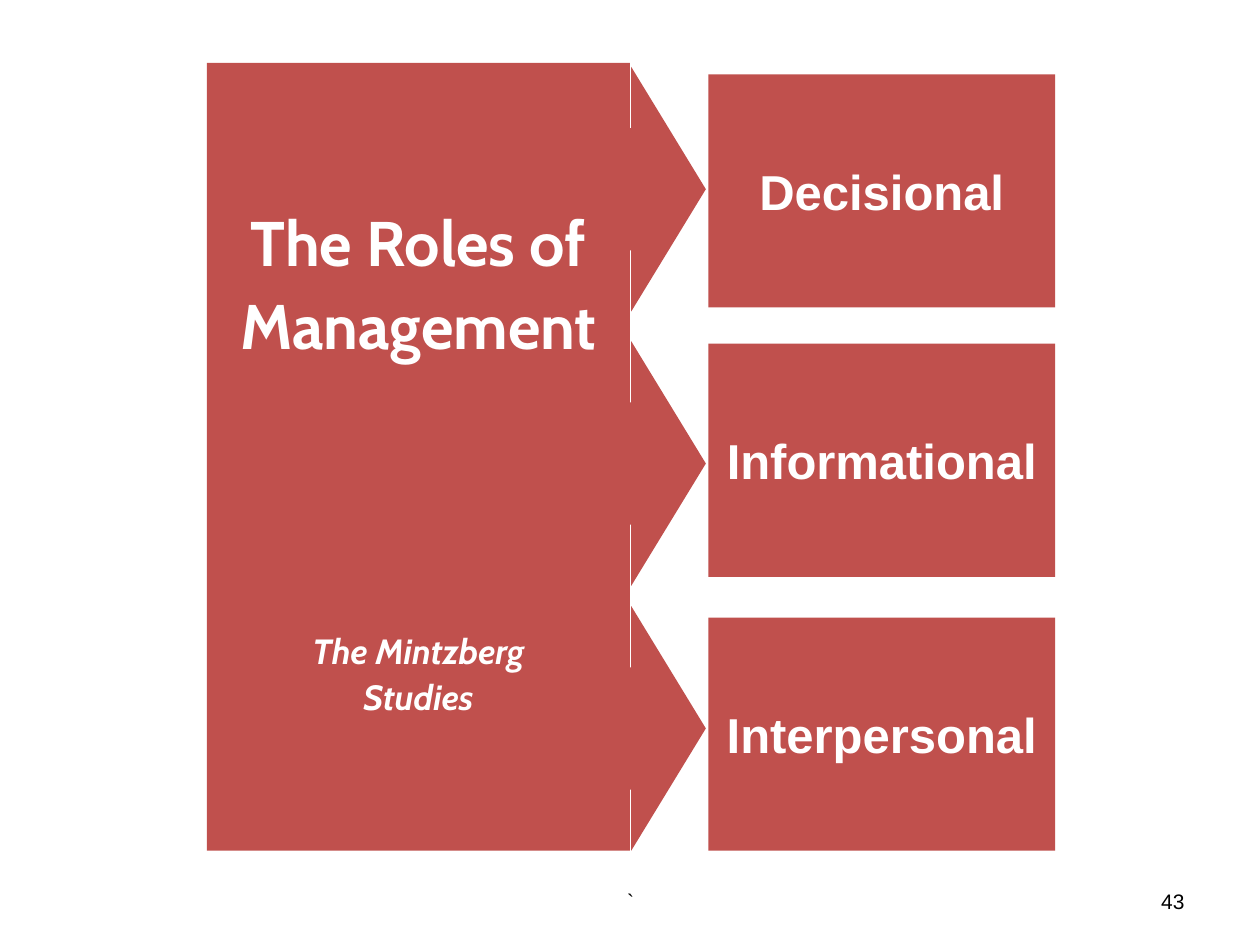
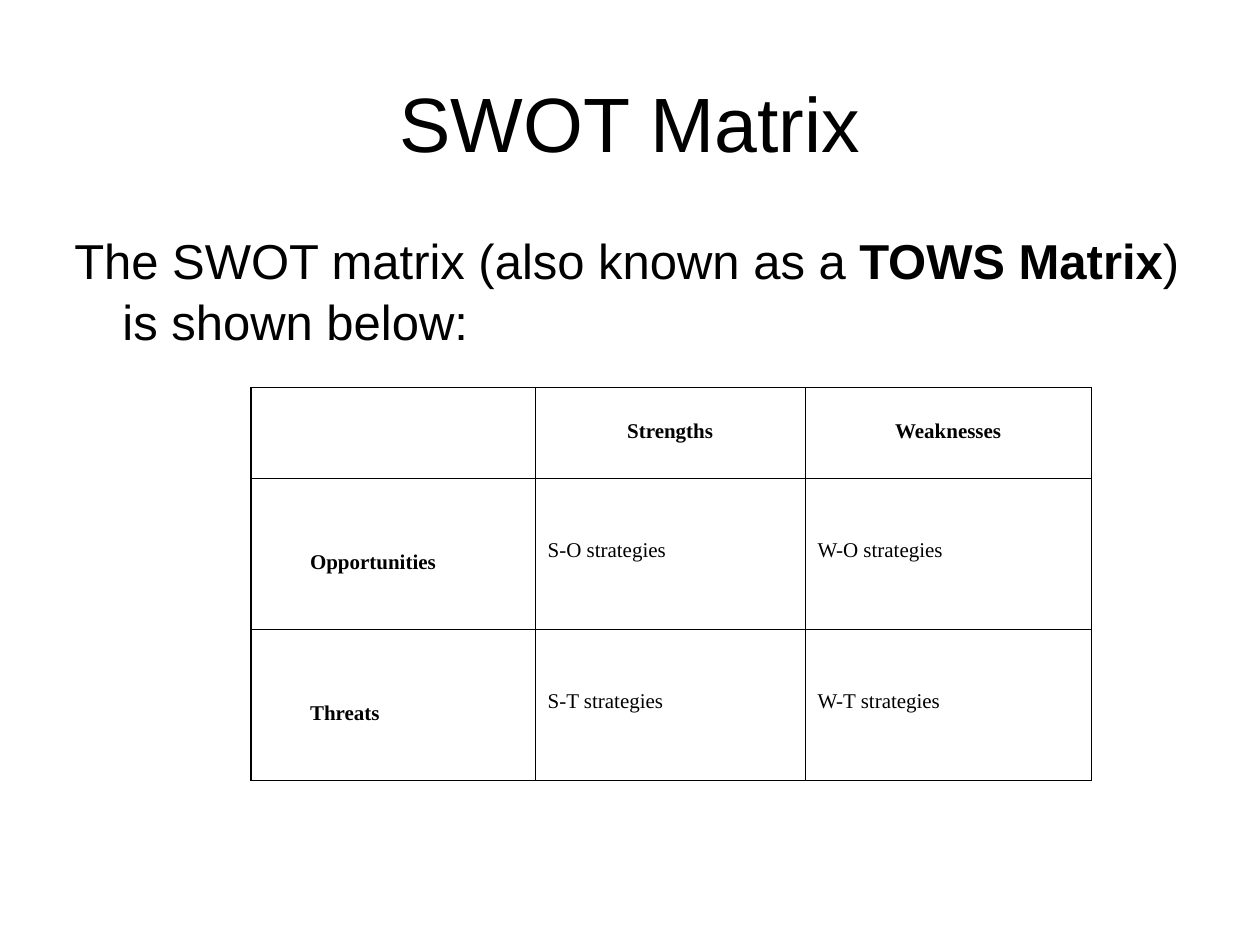
"""Build two management slides: the roles of management and the SWOT matrix."""
from dataclasses import dataclass

from lxml import etree
from pptx import Presentation
from pptx.dml.color import RGBColor
from pptx.enum.shapes import MSO_SHAPE
from pptx.enum.text import MSO_ANCHOR, MSO_AUTO_SIZE, PP_ALIGN
from pptx.oxml.ns import qn
from pptx.util import Cm, Pt

LEFT, CENTER, RIGHT = PP_ALIGN.LEFT, PP_ALIGN.CENTER, PP_ALIGN.RIGHT
TOP, MIDDLE = MSO_ANCHOR.TOP, MSO_ANCHOR.MIDDLE
RECTANGLE, ARROW = MSO_SHAPE.RECTANGLE, MSO_SHAPE.RIGHT_ARROW
TITLE_ONLY, BLANK = 5, 6


@dataclass(frozen=True)
class Theme:
    """Colours, fonts and type sizes shared by the slides."""
    red: RGBColor = RGBColor(0xC0, 0x50, 0x4D)
    white: RGBColor = RGBColor(255, 255, 255)
    black: RGBColor = RGBColor(0, 0, 0)
    sans: str = "Arial"
    display: str = "Cabin"
    serif: str = "Times New Roman"
    title: int = 44
    panel: int = 36
    body: int = 28
    subtitle: int = 20
    small: int = 12


THEME = Theme()

PANEL_TITLE = ("The Roles of", "Management")
PANEL_SUBTITLE = ("The Mintzberg", "Studies")
PANEL_GAP = 150
ROLES = [("Decisional", 1.35, 1.5), ("Informational", 6.88, 6.93), ("Interpersonal", 12.22, 12.45)]
FOOTERS = [("`", 8.69, 8.05, CENTER), ("43", 18.21, 5.92, RIGHT)]

MATRIX_TITLE = "SWOT Matrix"
INTRO = [("The SWOT matrix (also known as a ", False), ("TOWS Matrix", True),
         (") is shown below:", False)]
MATRIX = [("", "Strengths", "Weaknesses"),
          ("Opportunities", "S-O strategies", "W-O strategies"),
          ("Threats", "S-T strategies", "W-T strategies")]
COLUMN_WIDTHS = (5.73, 5.44, 5.77)
ROW_HEIGHTS = (1.83, 3.04, 3.04)
HEADING = {"left": 0, "top": 0.65, "bold": True, "align": CENTER}
ROW_LABEL = {"left": 1.19, "top": 1.46, "bold": True, "align": LEFT}
STRATEGY = {"left": 0.25, "top": 1.22, "bold": False, "align": LEFT}


def write(frame, text, *, size, font=THEME.sans, color=THEME.black, bold=False, italic=False,
          align=LEFT, spacing=None, before=0, join=False):
    """Write one formatted span in a new paragraph, or join it to the last one."""
    para = frame.paragraphs[-1] if join or not frame.text else frame.add_paragraph()
    para.alignment, para.space_before = align, Pt(before)
    if spacing:
        para.line_spacing = spacing
    span = para.add_run()
    span.text = text
    span.font.name, span.font.size = font, Pt(size)
    span.font.bold, span.font.italic = bold, italic
    span.font.color.rgb = color
    return para


def set_frame(frame, *, wrap=True, anchor=MIDDLE, margins=None):
    """Set wrapping, anchor and, if given, left, top, right and bottom margins."""
    frame.word_wrap, frame.vertical_anchor = wrap, anchor
    frame.auto_size = MSO_AUTO_SIZE.NONE
    if margins:
        (frame.margin_left, frame.margin_top,
         frame.margin_right, frame.margin_bottom) = map(Cm, margins)
    return frame


def add_red_shape(page, kind, left, top, width, height):
    """Add a flat red shape without an outline."""
    shape = page.shapes.add_shape(kind, Cm(left), Cm(top), Cm(width), Cm(height))
    shape.shadow.inherit = False
    shape.fill.solid()
    shape.fill.fore_color.rgb = THEME.red
    shape.line.fill.background()
    set_frame(shape.text_frame, wrap=False)
    return shape


def set_borders(cell):
    """Draw a thin black line on every side of a cell."""
    properties = cell._tc.get_or_add_tcPr()
    for side in ("a:lnL", "a:lnR", "a:lnT", "a:lnB"):
        line = etree.SubElement(properties, qn(side), w=str(Pt(0.75)))
        fill = etree.SubElement(line, qn("a:solidFill"))
        etree.SubElement(fill, qn("a:srgbClr"), val=str(THEME.black))


def build_roles(deck):
    """Build the slide of the three management roles."""
    page = deck.slides.add_slide(deck.slide_layouts[BLANK])
    for text, left, width, align in FOOTERS:
        box = page.shapes.add_textbox(Cm(left), Cm(17.65), Cm(width), Cm(1.02))
        write(set_frame(box.text_frame), text, size=THEME.small, align=align)
    for role, arrow_top, box_top in ROLES:
        arrow = add_red_shape(page, ARROW, 9.53, arrow_top, 4.7, 4.93)
        arrow.adjustments[0], arrow.adjustments[1] = 0.5, 0.32
        box = add_red_shape(page, RECTANGLE, 14.28, box_top, 6.99, 4.7)
        write(box.text_frame, role, size=THEME.body, color=THEME.white, bold=True, align=CENTER)
    panel = add_red_shape(page, RECTANGLE, 4.17, 1.27, 8.53, 15.88)
    style = {"font": THEME.display, "color": THEME.white, "bold": True,
             "align": CENTER, "spacing": 1.1}
    for line in PANEL_TITLE:
        write(panel.text_frame, line, size=THEME.panel, **style)
    for index, line in enumerate(PANEL_SUBTITLE):
        write(panel.text_frame, line, size=THEME.subtitle, italic=True,
              before=0 if index else PANEL_GAP, **style)


def build_matrix(deck):
    """Build the slide of the SWOT matrix."""
    page = deck.slides.add_slide(deck.slide_layouts[TITLE_ONLY])
    title = page.shapes.title
    title.left, title.top, title.width, title.height = Cm(8), Cm(1.37), Cm(9.4), Cm(1.93)
    frame = set_frame(title.text_frame, wrap=False, anchor=TOP, margins=(0, 0.15, 0, 0))
    write(frame, MATRIX_TITLE, size=THEME.title, align=CENTER)

    intro = page.shapes.add_textbox(Cm(1.47), Cm(4.55), Cm(22.43), Cm(2.44))
    frame = set_frame(intro.text_frame, anchor=TOP, margins=(0, 0.03, 0, 0))
    for text, bold in INTRO:
        para = write(frame, text, size=THEME.body, bold=bold, spacing=1.05, join=True)
    properties = para._p.get_or_add_pPr()
    properties.set("marL", str(Cm(1)))
    properties.set("indent", str(Cm(-0.97)))

    table = page.shapes.add_table(len(MATRIX), len(MATRIX[0]), Cm(5.06), Cm(7.82),
                                  Cm(sum(COLUMN_WIDTHS)), Cm(sum(ROW_HEIGHTS))).table
    table.first_row = table.horz_banding = False
    for column, width in zip(table.columns, COLUMN_WIDTHS):
        column.width = Cm(width)
    for row, height in zip(table.rows, ROW_HEIGHTS):
        row.height = Cm(height)
    for row, texts in enumerate(MATRIX):
        for column, text in enumerate(texts):
            style = HEADING if row == 0 else STRATEGY if column else ROW_LABEL
            cell = table.cell(row, column)
            set_borders(cell)
            cell.fill.background()
            cell.margin_left, cell.margin_top = Cm(style["left"]), Cm(style["top"])
            cell.margin_right = cell.margin_bottom = 0
            if text:
                write(cell.text_frame, text, size=THEME.small, font=THEME.serif,
                      bold=style["bold"], align=style["align"])


def main():
    """Build and save the deck."""
    deck = Presentation()
    deck.slide_width, deck.slide_height = Cm(25.4), Cm(19.05)
    build_roles(deck)
    build_matrix(deck)
    deck.save("out.pptx")


if __name__ == "__main__":
    main()
